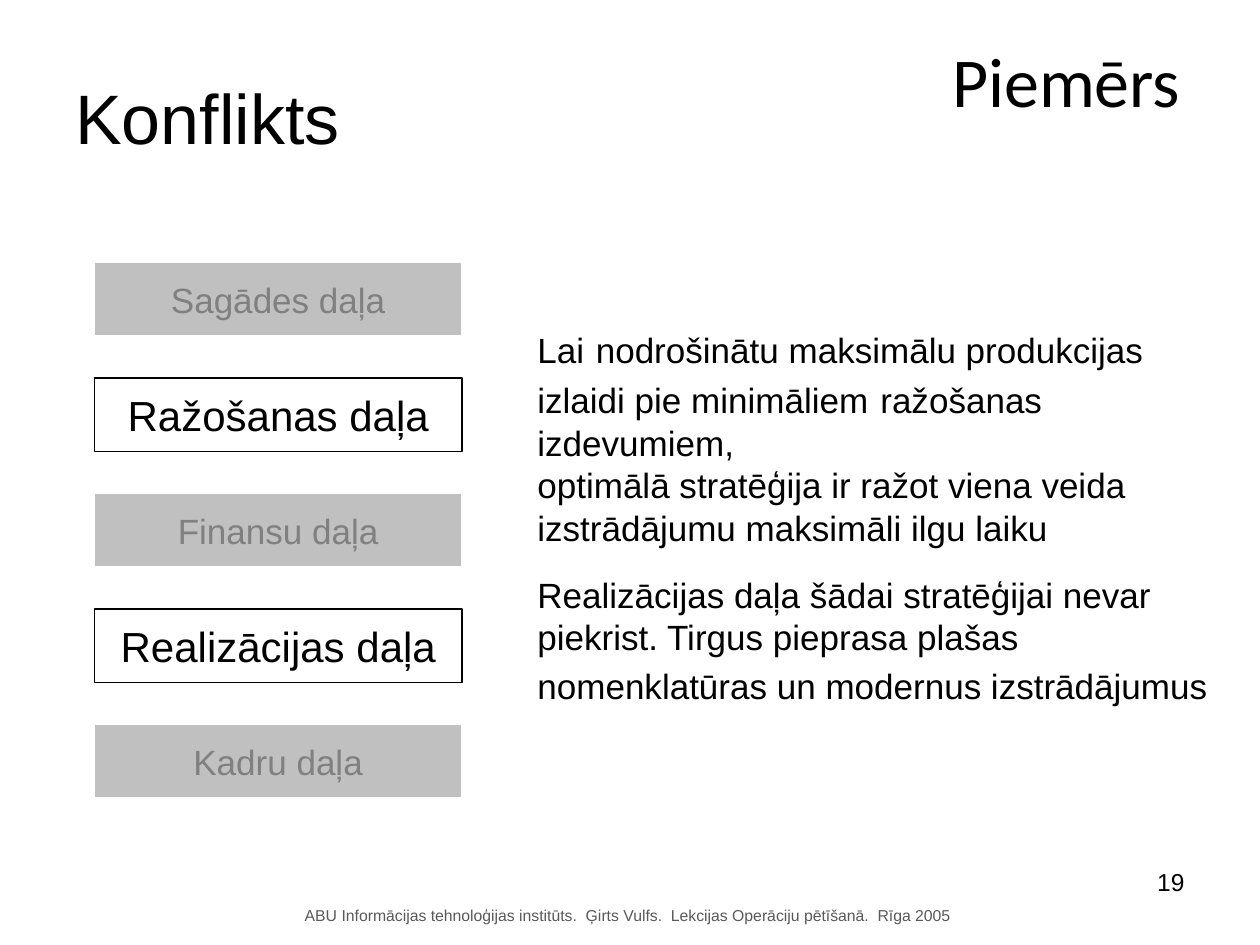
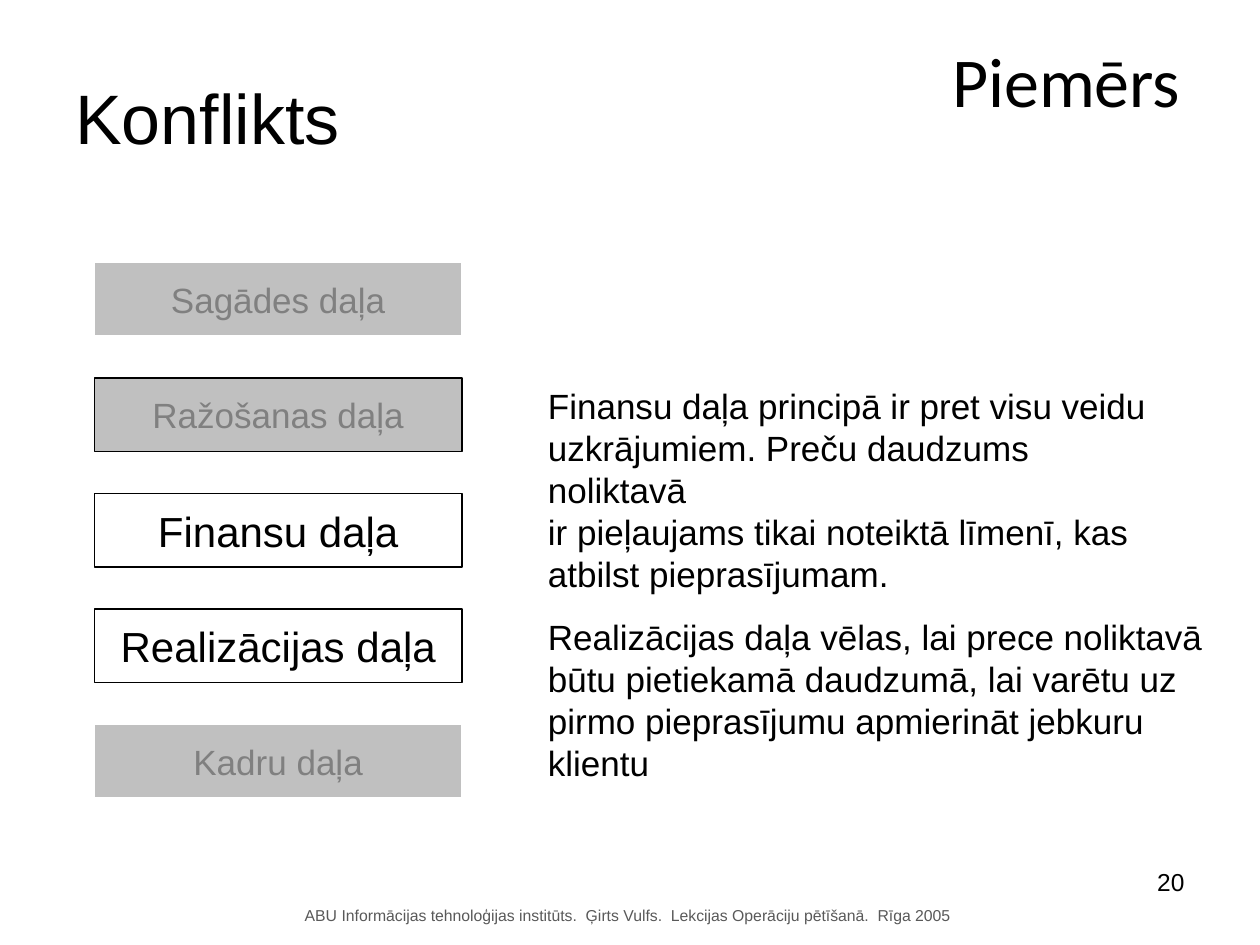
from pptx import Presentation
from pptx.dml.color import RGBColor
from pptx.enum.shapes import MSO_SHAPE
from pptx.enum.text import MSO_ANCHOR as Anchor, MSO_AUTO_SIZE as AutoSize, PP_ALIGN as Align
from pptx.util import Inches, Pt

COLORS = {
    "ink": "000000",
    "paper": "FFFFFF",
    "muted_fill": "C0C0C0",
    "muted_text": "808080",
    "footer": "595959",
}

deck = Presentation()
deck.slide_width = Inches(10)
deck.slide_height = Inches(7.5)
COLUMN = deck.slide_width / 120
ROW = deck.slide_height / 90


def place(column, row, columns, rows):
    return (round(column * COLUMN), round(row * ROW),
            round(columns * COLUMN), round(rows * ROW))


def write(box, lines, size=20, font="Arial", color="ink", align=Align.LEFT,
          anchor=Anchor.TOP, wrap=False, fit=AutoSize.SHAPE_TO_FIT_TEXT, space_size=24):
    frame = box.text_frame
    frame.word_wrap = wrap
    frame.auto_size = fit
    frame.vertical_anchor = anchor
    for index, line in enumerate(lines):
        para = frame.paragraphs[0] if index == 0 else frame.add_paragraph()
        para.alignment = align
        for text in line if isinstance(line, tuple) else (line,):
            span = para.add_run()
            span.text = text
            span.font.name = font
            span.font.size = Pt(space_size if text == " " else size)
            span.font.color.rgb = RGBColor.from_string(COLORS[color])


FOOTER = "ABU Informācijas tehnoloģijas institūts.  Ģirts Vulfs.  Lekcijas Operāciju pētīšanā.  Rīga 2005"
DEPARTMENTS = ["Sagādes daļa", "Ražošanas daļa", "Finansu daļa", "Realizācijas daļa", "Kadru daļa"]
FIRST_ROW, ROW_STEP = 25, 11

PAGES = [
    {
        "number": "19",
        "active": {"Ražošanas daļa", "Realizācijas daļa"},
        "outlined": set(),
        "arguments": [
            ((50, 30, 70, 19), [
                ("Lai", " ", "nodrošinātu maksimālu produkcijas"),
                ("izlaidi pie minimāliem", " ", "ražošanas izdevumiem,"),
                "optimālā stratēģija ir ražot viena veida",
                "izstrādājumu maksimāli ilgu laiku",
            ]),
            ((50, 54, 67.3, 14), [
                "Realizācijas daļa šādai stratēģijai nevar",
                "piekrist. Tirgus pieprasa plašas",
                ("nomenklatūras un modernus izstrādājumus", " "),
            ]),
        ],
    },
    {
        "number": "20",
        "active": {"Finansu daļa", "Realizācijas daļa"},
        "outlined": {"Ražošanas daļa"},
        "arguments": [
            ((51, 36, 62.3, 17.3), [
                "Finansu daļa principā ir pret visu veidu",
                "uzkrājumiem. Preču daudzums noliktavā",
                "ir pieļaujams tikai noteiktā līmenī, kas",
                "atbilst pieprasījumam.",
            ]),
            ((51, 58, 64.8, 17.3), [
                "Realizācijas daļa vēlas, lai prece noliktavā",
                "būtu pietiekamā daudzumā, lai varētu uz",
                "pirmo pieprasījumu apmierināt jebkuru",
                "klientu",
            ]),
        ],
    },
]

for content in PAGES:
    page = deck.slides.add_slide(deck.slide_layouts[6])

    footer = page.shapes.add_textbox(*place(27.84, 85.68, 64, 3))
    write(footer, [FOOTER], size=9, color="footer")

    for index, department in enumerate(DEPARTMENTS):
        active = department in content["active"]
        outlined = active or department in content["outlined"]
        box = page.shapes.add_shape(
            MSO_SHAPE.RECTANGLE, *place(9, FIRST_ROW + index * ROW_STEP, 35, 7))
        box.shadow.inherit = False
        box.fill.solid()
        box.fill.fore_color.rgb = RGBColor.from_string(COLORS["paper" if active else "muted_fill"])
        box.line.color.rgb = RGBColor.from_string(COLORS["ink" if outlined else "paper"])
        box.line.width = Pt(0.75)
        write(box, [department], size=24 if active else 20,
              color="ink" if active else "muted_text",
              align=Align.CENTER, anchor=Anchor.MIDDLE, fit=AutoSize.NONE)

    title = page.shapes.add_textbox(*place(6, 3.6, 108, 15))
    write(title, ["Konflikts"], size=40, anchor=Anchor.MIDDLE, wrap=True, fit=AutoSize.NONE)

    for area, lines in content["arguments"]:
        write(page.shapes.add_textbox(*place(*area)), lines)

    label = page.shapes.add_textbox(*place(89.5, 3, 27.84, 9.24))
    write(label, ["Piemērs"], size=40, font="Calibri")

    number = page.shapes.add_textbox(*place(104.4, 81.96, 9.6, 6.24))
    write(number, [content["number"]], size=14, align=Align.RIGHT, wrap=True, fit=AutoSize.NONE)

deck.save("out.pptx")
